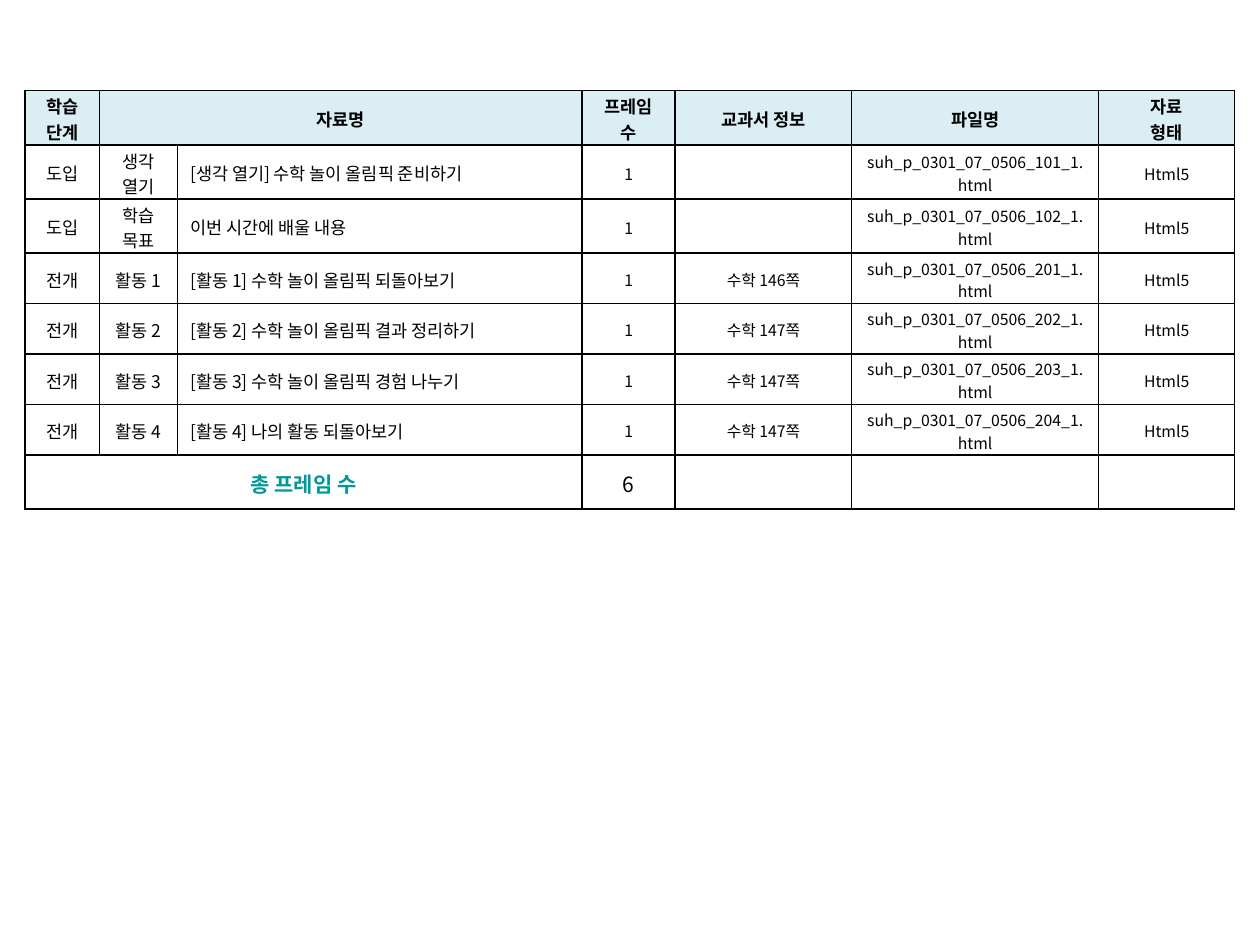
from dataclasses import dataclass

from lxml import etree
from pptx import Presentation
from pptx.dml.color import RGBColor
from pptx.enum.text import MSO_ANCHOR, PP_ALIGN
from pptx.oxml.ns import qn
from pptx.util import Inches, Pt

MID = MSO_ANCHOR.MIDDLE
LEFT, CENTER = PP_ALIGN.LEFT, PP_ALIGN.CENTER


@dataclass(frozen=True)
class Theme:
    font: str = "Noto Sans CJK KR"
    ink: str = "000000"
    head: str = "DBEEF4"
    teal: str = "009999"
    small: int = 9
    body: int = 10
    total: int = 12
    rule: int = 1


THEME = Theme()
COLS = [0.59, 0.62, 3.21, 0.74, 1.4, 1.96, 1.08]
TALL, LOW = 0.43, 0.4
HEADS = ["학습 단계", "자료명", "", "프레임 수", "교과서 정보", "파일명", "자료\n형태"]
STEPS = [
    ("도입", "생각\n열기", "[생각 열기] 수학 놀이 올림픽 준비하기", "", "101"),
    ("도입", "학습 목표", "이번 시간에 배울 내용", "", "102"),
    ("전개", "활동 1", "[활동 1] 수학 놀이 올림픽 되돌아보기", "수학 146쪽", "201"),
    ("전개", "활동 2", "[활동 2] 수학 놀이 올림픽 결과 정리하기", "수학 147쪽", "202"),
    ("전개", "활동 3", "[활동 3] 수학 놀이 올림픽 경험 나누기", "수학 147쪽", "203"),
    ("전개", "활동 4", "[활동 4] 나의 활동 되돌아보기", "수학 147쪽", "204"),
]


def put_text(cell, text, size=THEME.body, color=THEME.ink, bold=False, align=CENTER):
    frame = cell.text_frame
    for i, line in enumerate(text.split("\n")):
        para = frame.add_paragraph() if i else frame.paragraphs[0]
        para.alignment = align
        if not line:
            continue
        run = para.add_run()
        run.text = line
        font = run.font
        font.name, font.size, font.bold = THEME.font, Pt(size), bold
        font.color.rgb = RGBColor.from_string(color)
        east = etree.SubElement(font._element, qn("a:ea"))
        east.set("typeface", THEME.font)


def add_rules(cell):
    props = cell._tc.get_or_add_tcPr()
    for i, side in enumerate(("lnL", "lnR", "lnT", "lnB")):
        line = etree.Element(qn(f"a:{side}"), w=str(Pt(THEME.rule)))
        fill = etree.SubElement(line, qn("a:solidFill"))
        etree.SubElement(fill, qn("a:srgbClr"), val=THEME.ink)
        props.insert(i, line)


def style_cell(cell, fill=None):
    cell.vertical_anchor = MID
    cell.margin_left = cell.margin_right = Inches(0.1)
    cell.margin_top, cell.margin_bottom = Inches(0.02), 0
    if fill:
        cell.fill.solid()
        cell.fill.fore_color.rgb = RGBColor.from_string(fill)
    else:
        cell.fill.background()
    add_rules(cell)


def add_grid(slide):
    rows = [TALL] * 3 + [LOW] * 4 + [TALL]
    frame = slide.shapes.add_table(
        len(rows), len(COLS), Inches(0.2), Inches(0.72),
        Inches(sum(COLS)), Inches(sum(rows)))
    table = frame.table
    table.first_row = table.horz_banding = False
    for col, width in zip(table.columns, COLS):
        col.width = Inches(width)
    for row, height in zip(table.rows, rows):
        row.height = Inches(height)
    for r in range(len(rows)):
        for c in range(len(COLS)):
            style_cell(table.cell(r, c), None if r else THEME.head)
    table.cell(0, 1).merge(table.cell(0, 2))
    last = len(rows) - 1
    table.cell(last, 0).merge(table.cell(last, 2))
    return table


def fill_step(table, r, step):
    stage, part, title, page, code = step
    put_text(table.cell(r, 0), stage)
    put_text(table.cell(r, 1), part)
    put_text(table.cell(r, 2), title, align=LEFT)
    name = f"suh_p_0301_07_0506_{code}_1.html"
    for c, text in enumerate(("1", page, name, "Html5"), 3):
        put_text(table.cell(r, c), text, size=THEME.small)


def main():
    deck = Presentation()
    deck.slide_width, deck.slide_height = Inches(10), Inches(7.5)
    slide = deck.slides.add_slide(deck.slide_layouts[6])
    table = add_grid(slide)
    for c, text in enumerate(HEADS):
        if text:
            put_text(table.cell(0, c), text, bold=True)
    for r, step in enumerate(STEPS, 1):
        fill_step(table, r, step)
    last = len(STEPS) + 1
    put_text(table.cell(last, 0), "총 프레임 수", size=THEME.total,
             color=THEME.teal, bold=True)
    put_text(table.cell(last, 3), str(len(STEPS)), size=THEME.total)
    deck.save("out.pptx")


if __name__ == "__main__":
    main()
